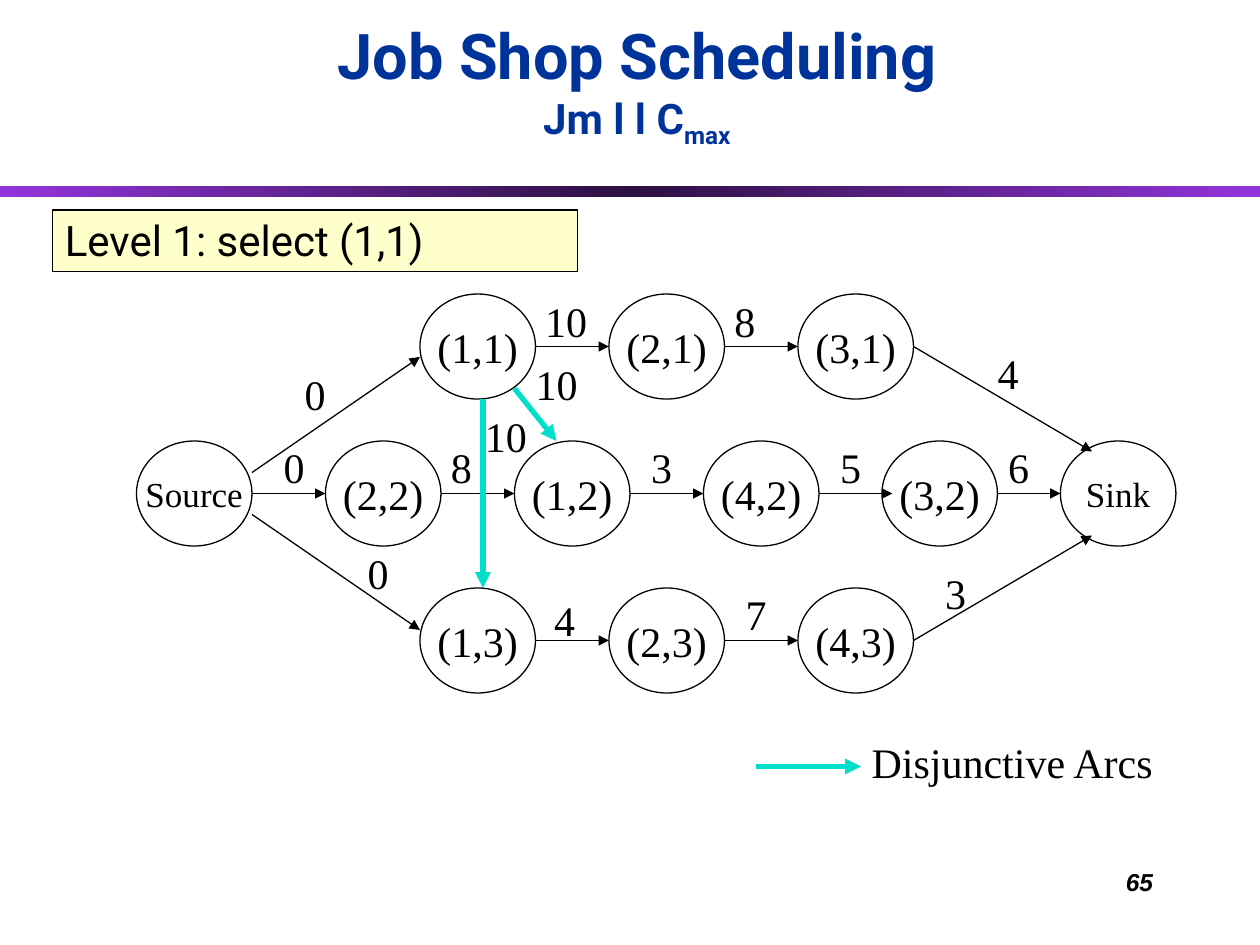
from copy import deepcopy
from itertools import pairwise

from lxml.etree import SubElement
from pptx import Presentation
from pptx.dml.color import RGBColor
from pptx.enum.shapes import MSO_CONNECTOR, MSO_SHAPE
from pptx.enum.text import MSO_ANCHOR, MSO_AUTO_SIZE, PP_ALIGN
from pptx.oxml.ns import qn
from pptx.util import Pt

COLORS = {
    "ink": "000000",
    "title": "003399",
    "note": "FFFFCC",
    "arc": "00DFCA",
    "violet": "9234DB",
    "dark": "2C1042",
}
NODE_WIDTH, NODE_HEIGHT = 66, 60
JOBS = [
    (168, {"(1,1)": 240, "(2,1)": 348, "(3,1)": 456}),
    (252, {"Source": 78, "(2,2)": 186, "(1,2)": 294, "(4,2)": 402, "(3,2)": 504, "Sink": 606}),
    (336, {"(1,3)": 240, "(2,3)": 348, "(4,3)": 456}),
]
ARC_ENDS = {"(3,2)": 510}
SLANTED_ARCS = [
    (144, 270, 240, 204),
    (144, 294, 240, 360),
    (522, 198, 624, 258),
    (522, 366, 624, 306),
]
DISJUNCTIVE_ARCS = [(276, 228, 276, 336), (294, 222, 318, 252), (432, 438, 492, 438)]
DURATIONS = [
    ("0", 167, 207), ("0", 155, 249), ("0", 203, 309.5),
    ("10", 304.5, 165.5), ("8", 412.5, 165.5), ("4", 563, 195),
    ("8", 250.5, 249), ("3", 365, 249), ("5", 473, 249), ("6", 569, 249),
    ("4", 309.5, 336), ("7", 419, 333), ("3", 533, 321),
    ("10", 299, 201.5), ("10", 270, 231),
]


def color(name):
    """Return the named colour."""
    return RGBColor.from_string(COLORS[name])


def write(para, text, *, size=24, font="Times New Roman", ink="ink", bold=False,
          italic=False, baseline=0, align=PP_ALIGN.LEFT):
    """Add formatted text to a paragraph."""
    para.alignment = align
    span = para.add_run()
    span.text = text
    span.font.size = Pt(size)
    span.font.name = font
    span.font.bold = bold
    span.font.italic = italic
    span.font.color.rgb = color(ink)
    if baseline:
        span.font._element.set("baseline", str(baseline * 1000))


class Page:
    """Hold the slide and the style of its elements."""

    def __init__(self, slide, thin=0.75, thick=3):
        self.shapes = slide.shapes
        self.thin = thin
        self.thick = thick

    def band(self, left, top, width, height):
        """Draw the gradient rule under the heading."""
        shape = self.shapes.add_shape(
            MSO_SHAPE.RECTANGLE, Pt(left), Pt(top), Pt(width), Pt(height))
        shape.shadow.inherit = False
        shape.line.fill.background()
        shape.fill.gradient()
        shape.fill.gradient_angle = 0
        first, last = shape.fill.gradient_stops
        first.color.rgb = color("dark")
        middle = deepcopy(first._gs)
        middle.set("pos", "50000")
        first._gs.addnext(middle)
        for stop in (first, last):
            stop.color.rgb = color("violet")

    def box(self, left, top, width, height, anchor=MSO_ANCHOR.TOP, wrap=True):
        """Add an empty text box."""
        box = self.shapes.add_textbox(Pt(left), Pt(top), Pt(width), Pt(height))
        box.text_frame.word_wrap = wrap
        box.text_frame.vertical_anchor = anchor
        return box

    def label(self, text, left, top, width):
        """Place a one-line label that fits its text."""
        frame = self.box(left, top, width, 36, wrap=False).text_frame
        frame.auto_size = MSO_AUTO_SIZE.SHAPE_TO_FIT_TEXT
        write(frame.paragraphs[0], text)

    def node(self, text, left, top):
        """Draw an operation as an ellipse."""
        shape = self.shapes.add_shape(
            MSO_SHAPE.OVAL, Pt(left), Pt(top), Pt(NODE_WIDTH), Pt(NODE_HEIGHT))
        shape.shadow.inherit = False
        shape.fill.background()
        shape.line.color.rgb = color("ink")
        shape.line.width = Pt(self.thin)
        frame = shape.text_frame
        frame.word_wrap = False
        frame.vertical_anchor = MSO_ANCHOR.MIDDLE
        write(frame.paragraphs[0], text, size=24 if text.startswith("(") else 20,
              align=PP_ALIGN.CENTER)

    def arrow(self, start_x, start_y, end_x, end_y, disjunctive=False):
        """Draw an arc with a triangular head."""
        arrow = self.shapes.add_connector(
            MSO_CONNECTOR.STRAIGHT, Pt(start_x), Pt(start_y), Pt(end_x), Pt(end_y))
        arrow.line.color.rgb = color("arc" if disjunctive else "ink")
        arrow.line.width = Pt(self.thick if disjunctive else self.thin)
        SubElement(arrow.line._get_or_add_ln(), qn("a:tailEnd"), type="triangle")
        SubElement(arrow._element.spPr, qn("a:effectLst"))


def main():
    """Build the slide and save it."""
    deck = Presentation()
    deck.slide_width, deck.slide_height = Pt(720), Pt(540)
    page = Page(deck.slides.add_slide(deck.slide_layouts[6]))

    page.band(0, 106.5, 720, 6)
    number = page.box(516, 492, 150, 36)
    write(number.text_frame.paragraphs[0], "65", size=14, font="Arial", bold=True,
          italic=True, align=PP_ALIGN.RIGHT)

    note = page.box(30, 120, 300, 35, MSO_ANCHOR.BOTTOM)
    note.fill.solid()
    note.fill.fore_color.rgb = color("note")
    note.line.color.rgb = color("ink")
    note.line.width = Pt(page.thin)
    write(note.text_frame.paragraphs[0], "Level 1: select (1,1)", font="Roboto")

    for top, nodes in JOBS:
        middle = top + NODE_HEIGHT / 2
        for name, left in nodes.items():
            page.node(name, left, top)
        for (_, left), (name, following) in pairwise(nodes.items()):
            page.arrow(left + NODE_WIDTH, middle, ARC_ENDS.get(name, following), middle)
    for arc in SLANTED_ARCS:
        page.arrow(*arc)
    for arc in DISJUNCTIVE_ARCS:
        page.arrow(*arc, disjunctive=True)
    for text, left, top in DURATIONS:
        page.label(text, left, top, 14.5 + 12 * len(text))
    page.label("Disjunctive Arcs", 491, 417.5, 176.5)

    frame = page.box(18, 12, 692, 77, MSO_ANCHOR.BOTTOM).text_frame
    heading = {"font": "Roboto", "ink": "title", "bold": True, "align": PP_ALIGN.CENTER}
    write(frame.paragraphs[0], "Job Shop Scheduling", size=36, **heading)
    para = frame.add_paragraph()
    write(para, "Jm l l C", **heading)
    write(para, "max", baseline=-25, **heading)

    deck.save("out.pptx")


if __name__ == "__main__":
    main()
